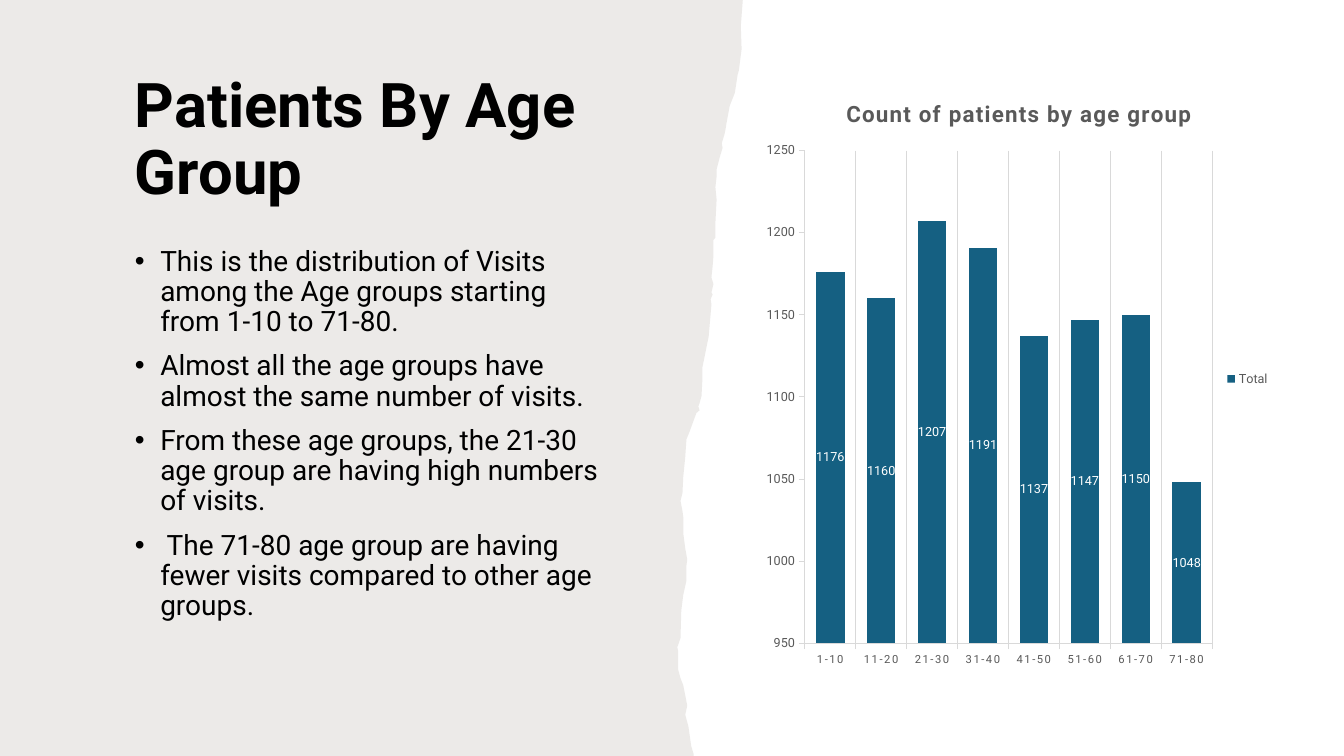
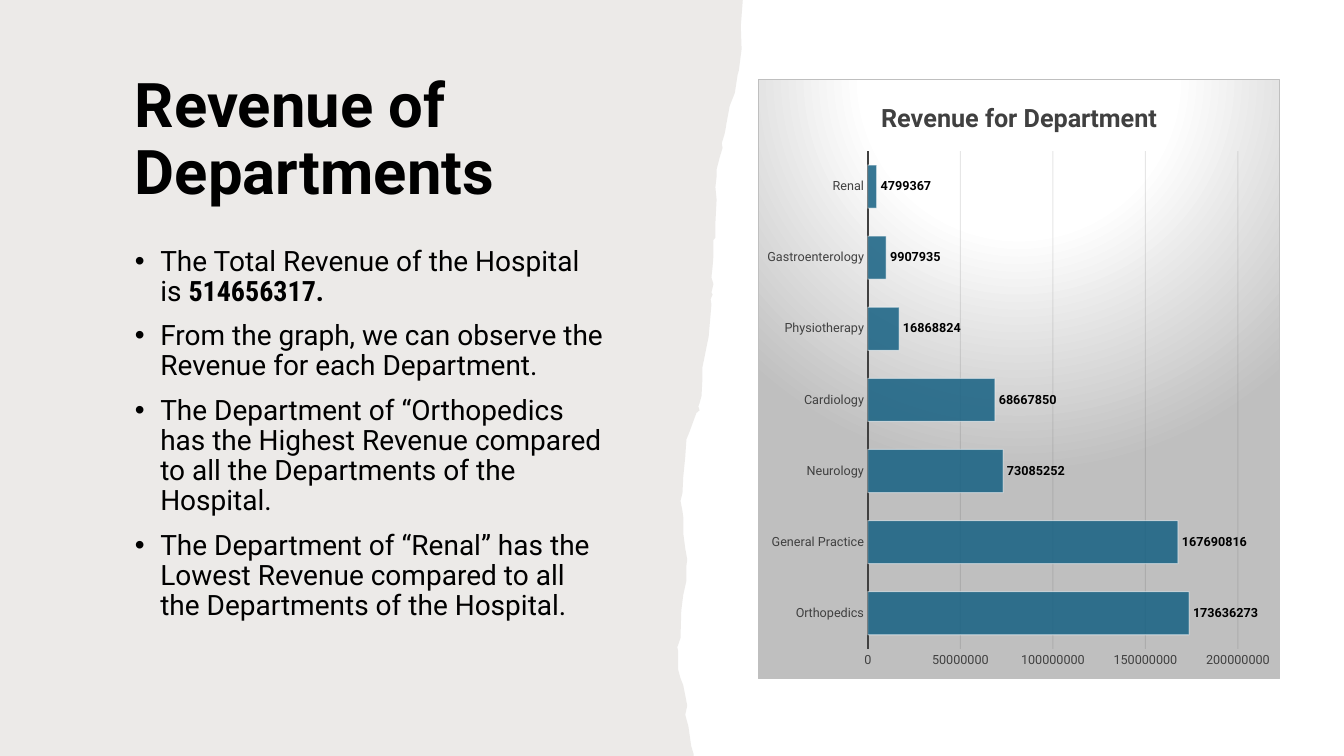
from lxml.etree import SubElement
from pptx import Presentation
from pptx.chart.data import CategoryChartData
from pptx.dml.color import RGBColor
from pptx.enum.chart import XL_CHART_TYPE, XL_LABEL_POSITION, XL_LEGEND_POSITION, XL_TICK_MARK
from pptx.enum.text import MSO_ANCHOR
from pptx.oxml import parse_xml
from pptx.oxml.ns import nsdecls, qn
from pptx.util import Cm, Pt

BLACK = RGBColor(0x00, 0x00, 0x00)
WHITE = RGBColor(0xFF, 0xFF, 0xFF)
TAUPE = RGBColor(0x82, 0x76, 0x6A)
TEAL = RGBColor(0x15, 0x60, 0x82)
GREY = RGBColor(0x59, 0x59, 0x59)
DARK_GREY = RGBColor(0x40, 0x40, 0x40)
PALE_GREY = RGBColor(0xD9, 0xD9, 0xD9)
MID_GREY = RGBColor(0xBF, 0xBF, 0xBF)
NEAR_BLACK = RGBColor(0x0D, 0x0D, 0x0D)

FONT = "Roboto"
NARROW_FONT = "Roboto Condensed"

# Left, top, width, height in centimetres
TITLE_BOX = (3.15, 1.7, 13.28, 3.7)
BODY_BOX = (3.15, 6.1, 12.32, 10.84)
CHART_BOX = (19.1, 1.98, 13.16, 15.14)

# Right edge of the paper from top to bottom, in centimetres
TORN_EDGE = [
    (18.72, 0), (18.67, 0.66), (18.69, 1.24), (18.62, 1.78), (18.59, 1.88), (18.52, 2.34),
    (18.39, 2.67), (18.31, 3.1), (18.29, 3.23), (18.26, 3.38), (18.19, 3.61), (18.21, 3.73),
    (18.14, 3.96), (18.06, 4.27), (18.06, 4.45), (18.03, 4.72), (18.06, 5.03), (18.03, 5.61),
    (18.03, 5.99), (17.98, 6.05), (17.98, 6.45), (17.96, 6.71), (17.93, 6.99), (17.98, 7.16),
    (17.93, 7.37), (17.96, 7.42), (17.91, 7.54), (17.93, 7.67), (17.86, 8.48), (17.7, 9.27),
    (17.7, 9.6), (17.68, 9.98), (17.63, 10.16), (17.6, 10.24), (17.63, 10.34), (17.55, 10.41),
    (17.37, 10.9), (17.3, 11.07), (17.27, 11.51), (17.22, 12.01), (17.2, 12.42), (17.15, 12.62),
    (17.2, 12.88), (17.22, 13.03), (17.22, 13.44), (17.27, 13.82), (17.32, 14.1), (17.3, 14.25),
    (17.3, 14.63), (17.22, 14.99), (17.17, 15.39), (17.15, 16.08), (17.07, 16.31), (17.09, 16.41),
    (17.09, 16.87), (17.15, 17.09), (17.22, 17.27), (17.32, 17.78), (17.27, 18.01),
    (17.35, 18.31), (17.42, 18.8), (17.48, 19), (17.48, 19.05),
]

AGE_POINTS = [
    ["This is the distribution of Visits among the Age groups starting from 1-10 to 71-80."],
    ["Almost all the age groups have almost the same number of visits."],
    ["From these age groups, the 21-30 age group are having high numbers of visits."],
    [" The 71-80 age group are having fewer visits compared to other age groups."],
]
REVENUE_POINTS = [
    ["The Total Revenue of the Hospital is ",
     ("514656317.", {"name": NARROW_FONT, "bold": True})],
    ["From the graph, we can observe the Revenue for each Department."],
    ["The Department of “Orthopedics has the Highest Revenue compared to all the "
     "Departments of the Hospital."],
    ["The Department of “Renal” has the Lowest Revenue compared to all the "
     "Departments of the Hospital."],
]
PATIENTS = {"1-10": 1176, "11-20": 1160, "21-30": 1207, "31-40": 1191,
            "41-50": 1137, "51-60": 1147, "61-70": 1150, "71-80": 1048}
REVENUE = {"Orthopedics": 173636273, "General Practice": 167690816, "Neurology": 73085252,
           "Cardiology": 68667850, "Physiotherapy": 16868824, "Gastroenterology": 9907935,
           "Renal": 4799367}


def set_all(target, values):
    for name, value in values.items():
        setattr(target, name, value)


def set_font(font, size, color=BLACK, **values):
    set_all(font, {"name": FONT, "size": Pt(size), **values})
    font.color.rgb = color


def set_line(line, color, width):
    line.color.rgb = color
    line.width = Pt(width)


def set_opacity(element, query, percent):
    for color in element.xpath(query):
        SubElement(color, qn("a:alpha")).set("val", str(percent * 1000))


def draw_paper(page):
    unit = 0.01
    start, *rest = [(round(x / unit), round(y / unit)) for x, y in [(0, 0), *TORN_EDGE, (0, 19.05)]]
    builder = page.shapes.build_freeform(*start, scale=Cm(unit))
    builder.add_line_segments(rest, close=True)
    paper = builder.convert_to_shape()
    paper.shadow.inherit = False
    paper.fill.solid()
    paper.fill.fore_color.rgb = TAUPE
    paper.line.fill.background()
    set_opacity(paper.element, "p:spPr/a:solidFill/a:srgbClr", 15)


def add_text_frame(page, box):
    frame = page.shapes.add_textbox(*map(Cm, box)).text_frame
    frame.word_wrap = True
    return frame


def draw_title(page, box, text):
    frame = add_text_frame(page, box)
    frame.vertical_anchor = MSO_ANCHOR.MIDDLE
    para = frame.paragraphs[0]
    para.line_spacing = 0.9
    span = para.add_run()
    span.text = text
    set_font(span.font, 44, bold=True)


def draw_bullets(page, box, points):
    """Each point is a list of strings, or of (string, font values) pairs."""
    frame = add_text_frame(page, box)
    for index, point in enumerate(points):
        para = frame.add_paragraph() if index else frame.paragraphs[0]
        set_all(para, {"line_spacing": 0.9, "space_before": Pt(10)})
        properties = para._p.get_or_add_pPr()
        properties.set("marL", str(Cm(0.64)))
        properties.set("indent", str(-Cm(0.64)))
        SubElement(properties, qn("a:buFont")).set("typeface", "Arial")
        SubElement(properties, qn("a:buChar")).set("char", "•")
        for part in point:
            text, values = (part, {}) if isinstance(part, str) else part
            span = para.add_run()
            span.text = text
            set_font(span.font, 20, **values)


def place_plot(chart, x, y, w, h):
    """Fix the inner plot area as fractions of the chart."""
    area = chart.element.xpath("c:chart/c:plotArea")[0]
    for layout in area.xpath("c:layout"):
        area.remove(layout)
    modes = '<c:layoutTarget val="inner"/><c:xMode val="edge"/><c:yMode val="edge"/>'
    sizes = "".join(f'<c:{key} val="{value}"/>' for key, value in zip("xywh", (x, y, w, h)))
    area.insert(0, parse_xml(f'<c:layout {nsdecls("c")}><c:manualLayout>{modes}{sizes}'
                             "</c:manualLayout></c:layout>"))


def add_chart(page, box, kind, series_name, values, title_text, title_font, gap):
    data = CategoryChartData(number_format="General")
    data.categories = list(values)
    data.add_series(series_name, list(values.values()))
    chart = page.shapes.add_chart(kind, *map(Cm, box), data).chart
    set_font(chart.font, 10)
    chart.has_legend = False
    chart.has_title = True
    chart.chart_title.include_in_layout = False
    span = chart.chart_title.text_frame.paragraphs[0].add_run()
    span.text = title_text
    set_font(span.font, bold=True, **title_font)
    set_all(chart.plots[0], {"gap_width": gap, "vary_by_categories": False})
    series = chart.plots[0].series[0]
    series.format.fill.solid()
    series.format.fill.fore_color.rgb = TEAL
    return chart, span


def style_axis(axis, size, color, tick, gridlines=False, **scale):
    set_all(axis, {"major_tick_mark": tick, "minor_tick_mark": XL_TICK_MARK.NONE,
                   "has_major_gridlines": gridlines, **scale})
    set_font(axis.tick_labels.font, size, color)


def style_labels(chart, position, color, bold):
    labels = chart.plots[0].series[0].data_labels
    set_all(labels, {"show_value": True, "position": position})
    set_font(labels.font, 9, color, bold=bold)


def draw_patient_chart(page, box):
    chart, title = add_chart(page, box, XL_CHART_TYPE.COLUMN_STACKED, "Total", PATIENTS,
                             "Count of patients by age group",
                             {"size": 16, "color": GREY}, gap=79)
    place_plot(chart, 0.09, 0.12, 0.78, 0.82)
    categories, counts = chart.category_axis, chart.value_axis
    style_axis(categories, 8, GREY, XL_TICK_MARK.OUTSIDE, gridlines=True)
    style_axis(counts, 9, GREY, XL_TICK_MARK.OUTSIDE,
               minimum_scale=950, maximum_scale=1250, major_unit=50)
    for part in (categories, counts, categories.major_gridlines):
        set_line(part.format.line, PALE_GREY, 0.75)
    title.font._element.set("spc", "100")
    for properties in chart.element.xpath(".//c:catAx/c:txPr//a:defRPr"):
        properties.set("spc", "100")
    style_labels(chart, XL_LABEL_POSITION.CENTER, WHITE, bold=False)
    chart.has_legend = True
    set_all(chart.legend, {"position": XL_LEGEND_POSITION.RIGHT, "include_in_layout": False})
    set_font(chart.legend.font, 9, GREY)


def fill_chart_background(chart):
    stops = "".join(f'<a:gs pos="{place * 1000}"><a:srgbClr val="{color}"/></a:gs>'
                    for place, color in [(0, WHITE), (39, WHITE), (100, MID_GREY)])
    chart.element.xpath("c:chart")[0].addnext(parse_xml(
        f'<c:spPr {nsdecls("c", "a")}><a:gradFill><a:gsLst>{stops}</a:gsLst>'
        '<a:path path="circle"><a:fillToRect l="50000" t="-80000" r="50000" b="180000"/></a:path>'
        f'</a:gradFill><a:ln w="{Pt(0.75)}"><a:solidFill><a:srgbClr val="{MID_GREY}"/>'
        "</a:solidFill></a:ln></c:spPr>"))


def draw_revenue_chart(page, box):
    chart, _ = add_chart(page, box, XL_CHART_TYPE.BAR_CLUSTERED, "Series 1", REVENUE,
                         "Revenue for Department",
                         {"size": 18, "color": DARK_GREY}, gap=65)
    place_plot(chart, 0.21, 0.12, 0.71, 0.83)
    departments, amounts = chart.category_axis, chart.value_axis
    style_axis(departments, 9, DARK_GREY, XL_TICK_MARK.NONE)
    style_axis(amounts, 9, DARK_GREY, XL_TICK_MARK.NONE, gridlines=True,
               minimum_scale=0, maximum_scale=200000000, major_unit=50000000)
    set_line(departments.format.line, DARK_GREY, 1.5)
    amounts.format.line.fill.background()
    set_line(amounts.major_gridlines.format.line, NEAR_BLACK, 0.75)
    set_line(chart.plots[0].series[0].format.line, WHITE, 0.75)
    for query, percent in [(".//c:majorGridlines//a:srgbClr", 10),
                           (".//c:ser/c:spPr/a:solidFill/a:srgbClr", 85),
                           (".//c:ser/c:spPr/a:ln//a:srgbClr", 50)]:
        set_opacity(chart.element, query, percent)
    style_labels(chart, XL_LABEL_POSITION.OUTSIDE_END, BLACK, bold=True)
    fill_chart_background(chart)


def add_page(deck, title, points, draw_chart):
    page = deck.slides.add_slide(deck.slide_layouts[6])
    draw_paper(page)
    draw_title(page, TITLE_BOX, title)
    draw_bullets(page, BODY_BOX, points)
    draw_chart(page, CHART_BOX)


def main():
    deck = Presentation()
    set_all(deck, {"slide_width": Cm(33.87), "slide_height": Cm(19.05)})
    add_page(deck, "Patients By Age Group", AGE_POINTS, draw_patient_chart)
    add_page(deck, "Revenue of Departments", REVENUE_POINTS, draw_revenue_chart)
    deck.save("out.pptx")


if __name__ == "__main__":
    main()
